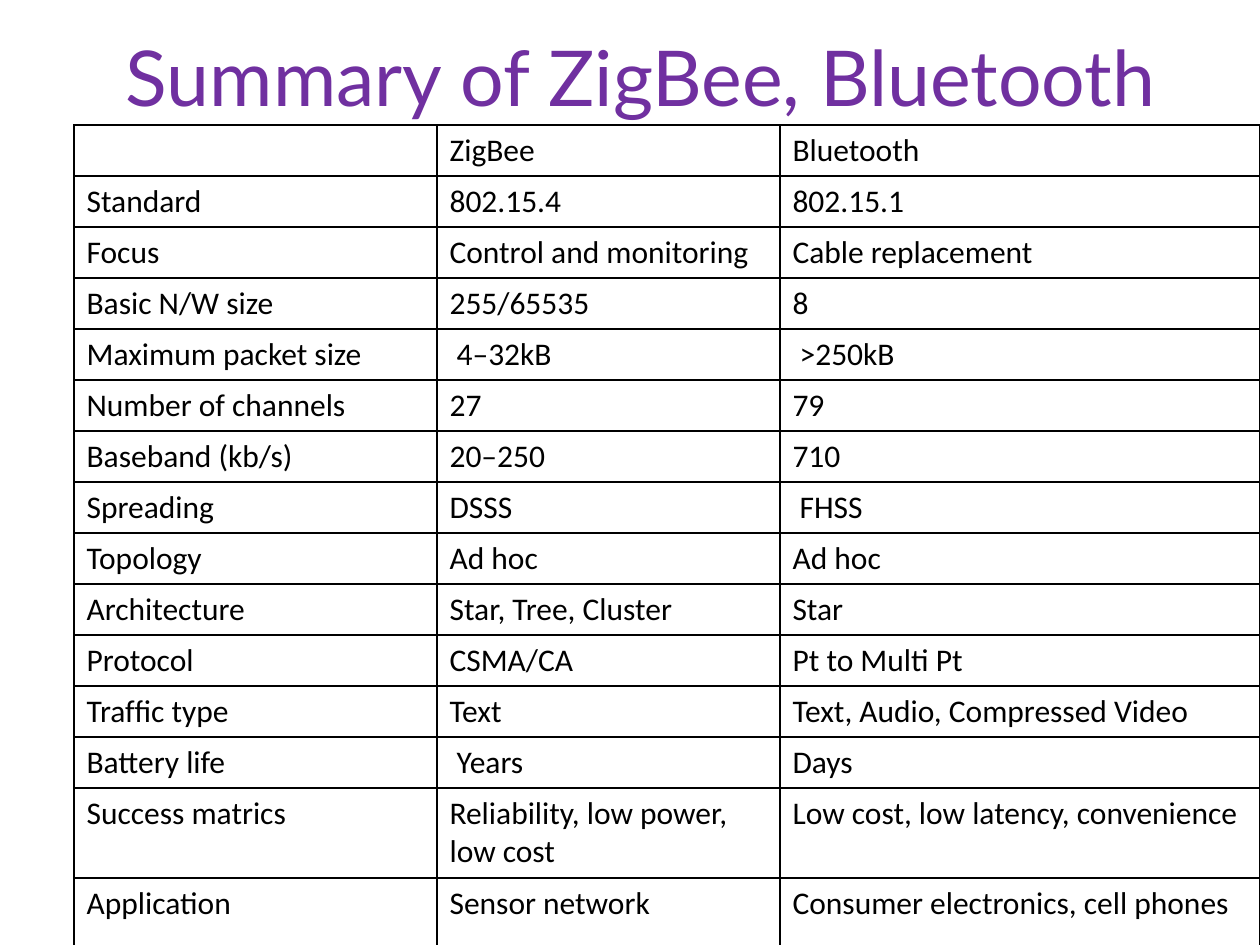
import dataclasses

import pptx
import pptx.dml.color
import pptx.enum.text
import pptx.oxml
import pptx.oxml.ns
import pptx.util


@dataclasses.dataclass(frozen=True)
class Theme:
    ink: str = "000000"
    title: str = "7030A0"
    head: str = "Lato"
    body: str = "Calibri"
    large: int = 44
    small: int = 18
    line: int = 1


THEME = Theme()
SCALE = 914400 / 126
COLS = (363, 343, 480)
ROWS = (51,) * 13 + (90, 86)
DATA = (
    ("", "ZigBee", "Bluetooth"),
    ("Standard", "802.15.4", "802.15.1"),
    ("Focus", "Control and monitoring", "Cable replacement"),
    ("Basic N/W size", "255/65535", "8"),
    ("Maximum packet size", " 4–32kB", " >250kB"),
    ("Number of channels", "27", "79"),
    ("Baseband (kb/s)", "20–250", "710"),
    ("Spreading", "DSSS", " FHSS"),
    ("Topology", "Ad hoc", "Ad hoc"),
    ("Architecture", "Star, Tree, Cluster", "Star"),
    ("Protocol", "CSMA/CA", "Pt to Multi Pt"),
    ("Trafﬁc type", "Text", "Text, Audio, Compressed Video"),
    ("Battery life", " Years", "Days"),
    ("Success matrics", "Reliability, low power, low cost",
     "Low cost, low latency, convenience"),
    ("Application", "Sensor network", "Consumer electronics, cell phones"),
)


def px(size):
    return pptx.util.Emu(round(size * SCALE))


def write(frame, text, size=THEME.small, face=THEME.body, color=THEME.ink,
          align=pptx.enum.text.PP_ALIGN.LEFT):
    frame.word_wrap = True
    para = frame.paragraphs[0]
    para.alignment = align
    if text:
        run = para.add_run()
        run.text = text
        run.font.size = pptx.util.Pt(size)
        run.font.name = face
        run.font.color.rgb = pptx.dml.color.RGBColor.from_string(color)


def border(cell):
    props = cell._tc.get_or_add_tcPr()
    space = pptx.oxml.ns.nsdecls("a")
    width = pptx.util.Pt(THEME.line)
    for spot, side in enumerate(("lnL", "lnR", "lnT", "lnB")):
        props.insert(spot, pptx.oxml.parse_xml(
            f'<a:{side} {space} w="{width}"><a:solidFill>'
            f'<a:srgbClr val="{THEME.ink}"/></a:solidFill></a:{side}>'))


def heading(slide, text):
    box = slide.shapes.add_textbox(px(74), px(16), px(1134), px(120))
    box.text_frame.vertical_anchor = pptx.enum.text.MSO_ANCHOR.MIDDLE
    write(box.text_frame, text, size=THEME.large, face=THEME.head,
          color=THEME.title, align=pptx.enum.text.PP_ALIGN.CENTER)


def grid(slide, data):
    table = slide.shapes.add_table(
        len(ROWS), len(COLS), px(74), px(125),
        px(sum(COLS)), px(sum(ROWS))).table
    table.first_row = False
    table.horz_banding = False
    for col, width in zip(table.columns, COLS):
        col.width = px(width)
    for row, height, texts in zip(table.rows, ROWS, data):
        row.height = px(height)
        for cell, text in zip(row.cells, texts):
            cell.fill.background()
            border(cell)
            write(cell.text_frame, text)


def main():
    deck = pptx.Presentation()
    deck.slide_width = px(1260)
    deck.slide_height = px(945)
    slide = deck.slides.add_slide(deck.slide_layouts[6])
    heading(slide, "Summary of ZigBee, Bluetooth")
    grid(slide, DATA)
    deck.save("out.pptx")


if __name__ == "__main__":
    main()
